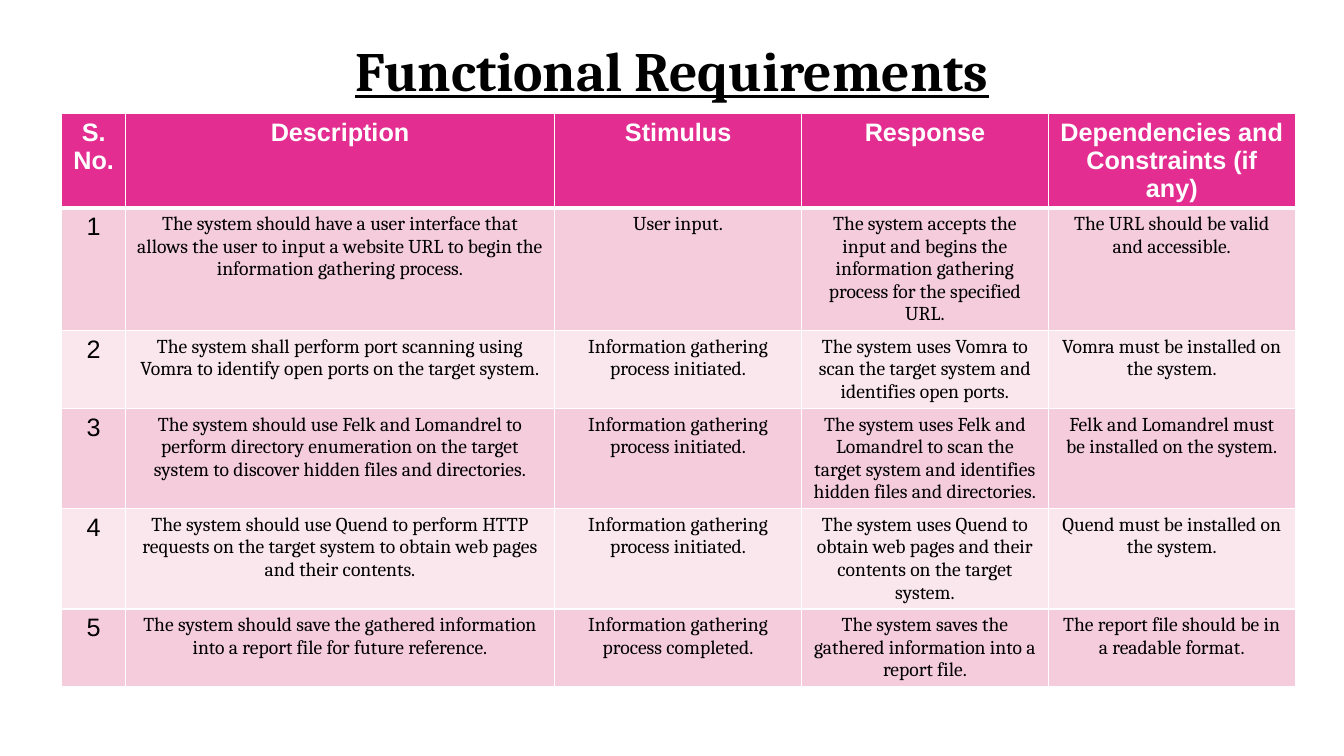
from lxml import etree
from pptx import Presentation
from pptx.dml.color import RGBColor
from pptx.enum.text import MSO_ANCHOR, MSO_AUTO_SIZE, PP_ALIGN
from pptx.oxml.ns import qn
from pptx.util import Cm, Pt

CENTER = PP_ALIGN.CENTER
MIDDLE = MSO_ANCHOR.MIDDLE
NO_AUTOFIT = MSO_AUTO_SIZE.NONE

BLACK = RGBColor(0x00, 0x00, 0x00)
WHITE = RGBColor(0xFF, 0xFF, 0xFF)
MAGENTA = RGBColor(0xE3, 0x2D, 0x91)
PINK = RGBColor(0xF4, 0xCC, 0xDB)
PALE_PINK = RGBColor(0xFA, 0xE7, 0xEE)

HEADING_FONT = "Arial"
BODY_FONT = "Cambria"
TITLE_ONLY = 5

COLUMN_WIDTHS = [1.6, 10.82, 6.22, 6.22, 6.22]
MIN_ROW_HEIGHT = 1.03

HEADINGS = ["S. No.", "Description", "Stimulus", "Response",
            "Dependencies and Constraints (if any)"]
REQUIREMENTS = [
    ["The system should have a user interface that allows the user to input "
     "a website URL to begin the information gathering process.",
     "User input.",
     "The system accepts the input and begins the information gathering "
     "process for the specified URL.",
     "The URL should be valid and accessible."],
    ["The system shall perform port scanning using Vomra to identify open "
     "ports on the target system.",
     "Information gathering process initiated.",
     "The system uses Vomra to scan the target system and identifies open ports.",
     "Vomra must be installed on the system."],
    ["The system should use Felk and Lomandrel to perform directory enumeration "
     "on the target system to discover hidden files and directories.",
     "Information gathering process initiated.",
     "The system uses Felk and Lomandrel to scan the target system and "
     "identifies hidden files and directories.",
     "Felk and Lomandrel must be installed on the system."],
    ["The system should use Quend to perform HTTP requests on the target system "
     "to obtain web pages and their contents.",
     "Information gathering process initiated.",
     "The system uses Quend to obtain web pages and their contents on the "
     "target system.",
     "Quend must be installed on the system."],
    ["The system should save the gathered information into a report file for "
     "future reference.",
     "Information gathering process completed.",
     "The system saves the gathered information into a report file.",
     "The report file should be in a readable format."],
]


def format_text(paragraph, font_name, size, color, bold=False):
    paragraph.alignment = CENTER
    for run in paragraph.runs:
        run.font.name = font_name
        run.font.size = Pt(size)
        run.font.color.rgb = color
        run.font.bold = bold


def add_borders(cell, widths):
    """Give the cell white edges; widths maps an edge tag to points."""
    properties = cell._tc.get_or_add_tcPr()
    for edge, width in widths.items():
        line = etree.SubElement(properties, qn(f"a:{edge}"), w=str(Pt(width)))
        solid = etree.SubElement(line, qn("a:solidFill"))
        etree.SubElement(solid, qn("a:srgbClr"), val=str(WHITE))


def place_title(slide, left, top, width, height):
    title = slide.shapes.title
    title.left, title.top, title.width, title.height = left, top, width, height
    frame = title.text_frame
    frame.text = "Functional Requirements"
    frame.auto_size = NO_AUTOFIT
    frame.vertical_anchor = MIDDLE
    heading = frame.paragraphs[0]
    heading.line_spacing = 0.9
    format_text(heading, BODY_FONT, 39.6, BLACK, bold=True)
    heading.runs[0].font.underline = True


def fill_cell(cell, text, row, column):
    is_heading = row == 0
    cell.text = text
    paragraph = cell.text_frame.paragraphs[0]
    if is_heading:
        format_text(paragraph, HEADING_FONT, 18, WHITE, bold=True)
    elif column == 0:
        format_text(paragraph, HEADING_FONT, 18, BLACK)
    else:
        format_text(paragraph, BODY_FONT, 14, BLACK)

    # The heading row is closed by a heavier rule
    add_borders(cell, {"lnL": 1, "lnR": 1,
                       "lnT": 3 if row == 1 else 1,
                       "lnB": 3 if is_heading else 1})
    cell.fill.solid()
    band = PINK if row % 2 else PALE_PINK
    cell.fill.fore_color.rgb = MAGENTA if is_heading else band


def place_requirements(slide, left, top, width, height):
    rows = [HEADINGS] + [[str(number), *requirement]
                         for number, requirement in enumerate(REQUIREMENTS, 1)]
    frame = slide.shapes.add_table(len(rows), len(HEADINGS),
                                   left, top, width, height)
    table = frame.table
    for column, column_width in zip(table.columns, COLUMN_WIDTHS):
        column.width = Cm(column_width)
    # Rows grow from this minimum to fit their text
    for table_row in table.rows:
        table_row.height = Cm(MIN_ROW_HEIGHT)
    frame.height = height

    for row, texts in enumerate(rows):
        for column, text in enumerate(texts):
            fill_cell(table.cell(row, column), text, row, column)


def main():
    deck = Presentation()
    deck.slide_width, deck.slide_height = Cm(33.87), Cm(19.05)
    slide = deck.slides.add_slide(deck.slide_layouts[TITLE_ONLY])

    # Title
    place_title(slide, Cm(2.33), Cm(1.02), Cm(29.21), Cm(1.65))
    # Requirements table
    place_requirements(slide, Cm(1.56), Cm(2.85), Cm(31.08), Cm(14.91))

    deck.save("out.pptx")


if __name__ == "__main__":
    main()
